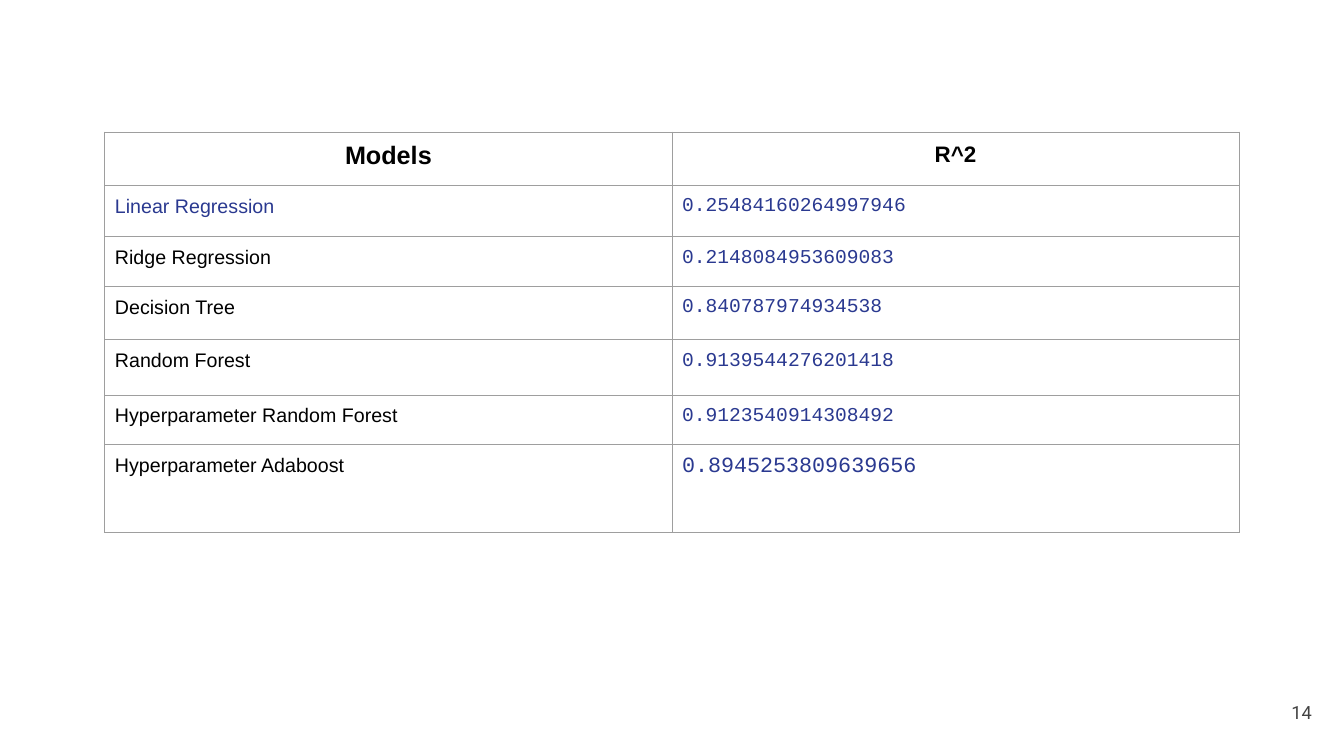
from lxml.etree import SubElement
from pptx import Presentation
from pptx.dml.color import RGBColor
from pptx.enum.text import MSO_ANCHOR, PP_ALIGN
from pptx.oxml.ns import qn
from pptx.util import Inches, Pt

COLORS = {"text": "000000", "accent": "2A3990", "border": "9E9E9E", "number": "434343"}
WIDTH, HEIGHT = 13.33, 7.5
BORDER_POINTS = 0.75
ROW_HEIGHTS = [0.53, 0.51, 0.49, 0.53, 0.55, 0.49, 0.87]
HEADERS = [("Models", 18), ("R^2", 16)]
# Model, its colour, score, size of the score
SCORES = [
    ("Linear Regression", "accent", "0.25484160264997946", 14),
    ("Ridge Regression", "text", "0.2148084953609083", 14),
    ("Decision Tree", "text", "0.840787974934538", 14),
    ("Random Forest", "text", "0.9139544276201418", 14),
    ("Hyperparameter Random Forest", "text", "0.9123540914308492", 14),
    ("Hyperparameter Adaboost", "text", "0.8945253809639656", 15.5),
]


def write_text(frame, text, size, font="Arial", color="text", bold=False, align=PP_ALIGN.LEFT):
    frame.text = text
    para = frame.paragraphs[0]
    para.alignment = align
    span = para.runs[0]
    span.font.name = font
    span.font.size = Pt(size)
    span.font.bold = bold
    span.font.color.rgb = RGBColor.from_string(COLORS[color])


def set_margins(item, inches):
    item.margin_left = item.margin_right = Inches(inches)
    item.margin_top = item.margin_bottom = Inches(inches)


def format_cell(cell):
    set_margins(cell, 0.1)
    properties = cell._tc.get_or_add_tcPr()
    for side in ("a:lnL", "a:lnR", "a:lnT", "a:lnB"):
        line = SubElement(properties, qn(side), w=str(Pt(BORDER_POINTS)))
        fill = SubElement(line, qn("a:solidFill"))
        SubElement(fill, qn("a:srgbClr"), val=COLORS["border"])
    cell.fill.background()


def add_score_table(page):
    frame = page.shapes.add_table(
        len(ROW_HEIGHTS), len(HEADERS),
        Inches(1.04), Inches(1.31), Inches(11.25), Inches(sum(ROW_HEIGHTS)),
    )
    table = frame.table
    table.first_row = table.horz_banding = False
    for row, height in zip(table.rows, ROW_HEIGHTS):
        row.height = Inches(height)
    for cell in table.iter_cells():
        format_cell(cell)

    # Header row
    for column, (label, size) in enumerate(HEADERS):
        write_text(table.cell(0, column).text_frame, label, size,
                   bold=True, align=PP_ALIGN.CENTER)

    # One row for each model
    for row, (model, color, score, size) in enumerate(SCORES, start=1):
        write_text(table.cell(row, 0).text_frame, model, 14, color=color)
        write_text(table.cell(row, 1).text_frame, score, size, "Courier New", "accent")


def add_page_number(page, number):
    box = page.shapes.add_textbox(Inches(12.34), Inches(6.78), Inches(0.8), Inches(0.57))
    frame = box.text_frame
    frame.word_wrap = True
    frame.vertical_anchor = MSO_ANCHOR.MIDDLE
    set_margins(frame, 0.13)
    write_text(frame, number, 13, "Roboto", "number", align=PP_ALIGN.RIGHT)


def main():
    deck = Presentation()
    deck.slide_width, deck.slide_height = Inches(WIDTH), Inches(HEIGHT)
    page = deck.slides.add_slide(deck.slide_layouts[6])  # blank layout
    add_score_table(page)
    add_page_number(page, "14")
    deck.save("out.pptx")


if __name__ == "__main__":
    main()
